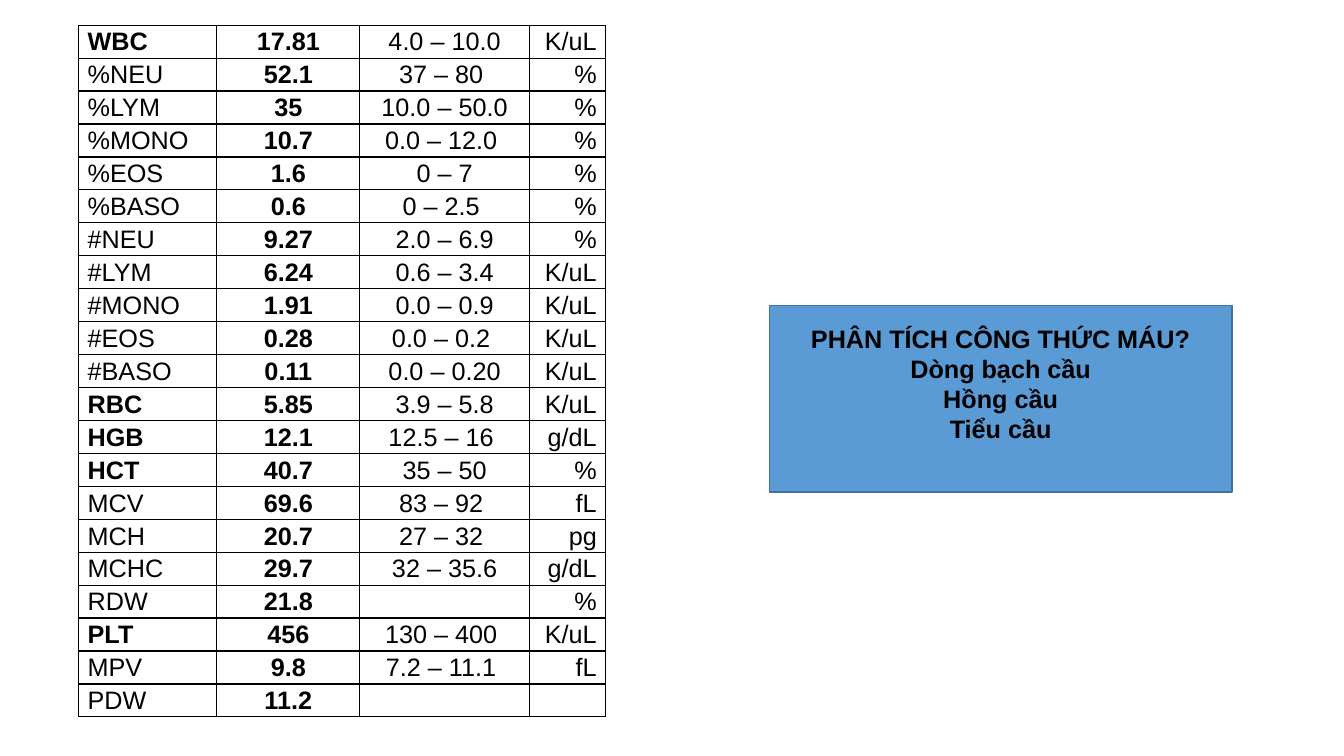
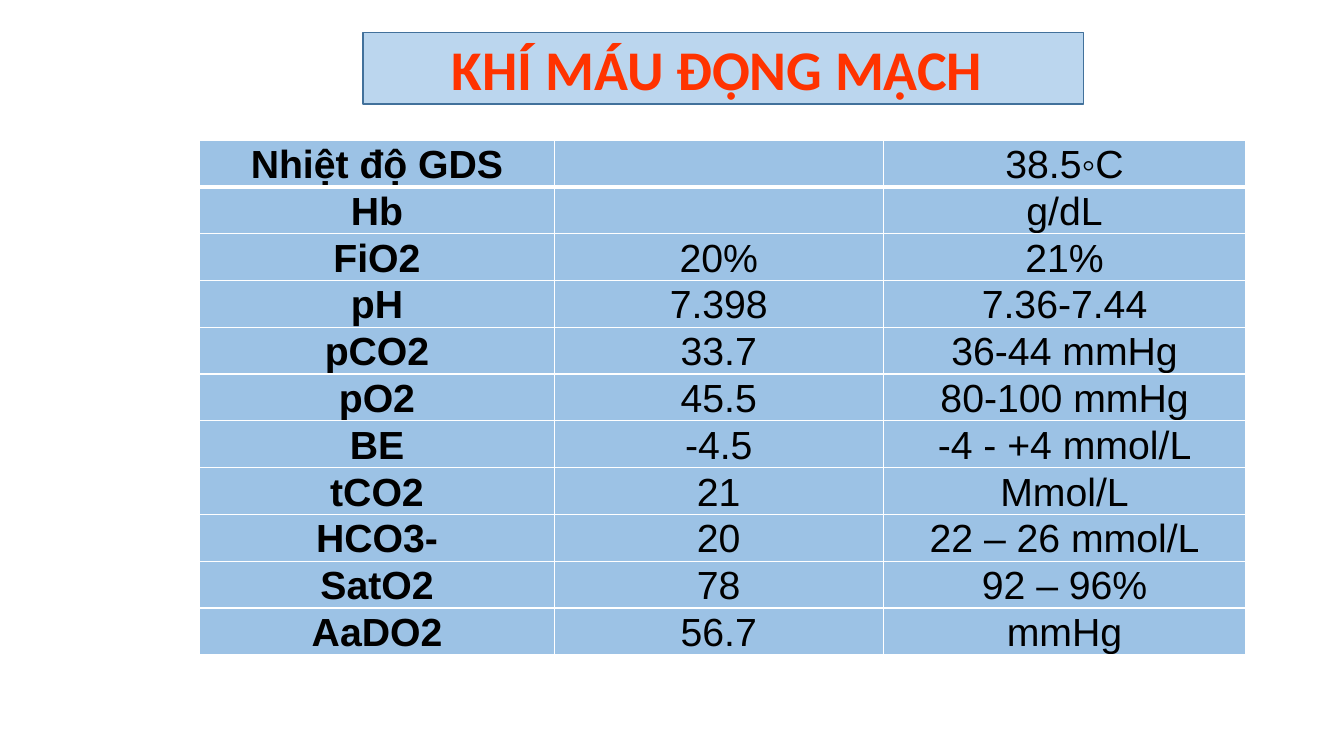
import pptx
import pptx.dml.color
import pptx.enum.shapes
import pptx.enum.text
import pptx.oxml
import pptx.oxml.ns
import pptx.util

Inches, Pt = pptx.util.Inches, pptx.util.Pt
Align, Anchor = pptx.enum.text.PP_ALIGN, pptx.enum.text.MSO_ANCHOR

COLORS = {
    "ink": "000000",
    "white": "FFFFFF",
    "panel": "5B9BD5",
    "outline": "42719B",
    "gas_cell": "9CC2E5",
    "title_band": "BBD6EE",
    "title": "FF3300",
}

# The slide is a grid of 100 columns by 100 rows
SLIDE_W, SLIDE_H = Inches(13.33), Inches(7.5)
COL, ROW = SLIDE_W / 100, SLIDE_H / 100

BLOOD_COUNT = [
    ("WBC", "17.81", "4.0 – 10.0", "K/uL"),
    ("%NEU", "52.1", "37 – 80 ", "%"),
    ("%LYM", "35", "10.0 – 50.0", "%"),
    ("%MONO", "10.7", "0.0 – 12.0 ", "%"),
    ("%EOS", "1.6", "0 – 7", "%"),
    ("%BASO", "0.6", "0 – 2.5 ", "%"),
    ("#NEU", "9.27", "2.0 – 6.9", "%"),
    ("#LYM", "6.24", "0.6 – 3.4", "K/uL"),
    ("#MONO", "1.91", "0.0 – 0.9", "K/uL"),
    ("#EOS", "0.28", "0.0 – 0.2 ", "K/uL"),
    ("#BASO", "0.11", "0.0 – 0.20", "K/uL"),
    ("RBC", "5.85", "3.9 – 5.8", "K/uL"),
    ("HGB", "12.1", "12.5 – 16 ", "g/dL"),
    ("HCT", "40.7", "35 – 50", "%"),
    ("MCV", "69.6", "83 – 92 ", "fL"),
    ("MCH", "20.7", "27 – 32 ", "pg"),
    ("MCHC", "29.7", "32 – 35.6", "g/dL"),
    ("RDW", "21.8", "", "%"),
    ("PLT", "456", "130 – 400 ", "K/uL"),
    ("MPV", "9.8", "7.2 – 11.1 ", "fL"),
    ("PDW", "11.2", "", ""),
]
MAIN_INDICES = {"WBC", "RBC", "HGB", "HCT", "PLT"}

BLOOD_GAS = [
    ("Nhiệt độ GDS", "", "38.5◦C"),
    ("Hb", "", "g/dL"),
    ("FiO2", "20%", "21%"),
    ("pH", "7.398", "7.36-7.44"),
    ("pCO2", "33.7", "36-44 mmHg"),
    ("pO2", "45.5", "80-100 mmHg"),
    ("BE", "-4.5", "-4 - +4 mmol/L"),
    ("tCO2", "21", "Mmol/L"),
    ("HCO3-", "20", "22 – 26 mmol/L"),
    ("SatO2", "78", "92 – 96%"),
    ("AaDO2", "56.7", "mmHg"),
]

QUESTION = "PHÂN TÍCH CÔNG THỨC MÁU?\nDòng bạch cầu\nHồng cầu\nTiểu cầu"


def rgb(name):
    return pptx.dml.color.RGBColor.from_string(COLORS[name])


def grid(left, top, width, height):
    """Turn grid columns and rows into slide lengths."""
    return [round(n) for n in (left * COL, top * ROW, width * COL, height * ROW)]


def write(frame, text, size=18, font="Arial", color="ink", bold=False,
          align=Align.CENTER, spacing=None):
    """Fill a text frame, one paragraph per line of text."""
    for number, line in enumerate(text.split("\n")):
        paragraph = frame.add_paragraph() if number else frame.paragraphs[0]
        paragraph.alignment = align
        if spacing:
            paragraph.line_spacing = spacing
        if line:
            run = paragraph.add_run()
            run.text = line
            run.font.size = Pt(size)
            run.font.name = font
            run.font.bold = bold
            run.font.color.rgb = rgb(color)


def paint(shape, fill):
    """Give a box its fill and the shared thin outline."""
    shape.fill.solid()
    shape.fill.fore_color.rgb = rgb(fill)
    shape.line.color.rgb = rgb("outline")
    shape.line.width = Pt(1)


def set_borders(cell, color, top=1, bottom=1):
    """Draw the four edges of a cell, with widths in points."""
    properties = cell._tc.get_or_add_tcPr()
    widths = {"lnL": 1, "lnR": 1, "lnT": top, "lnB": bottom}
    for index, (edge, width) in enumerate(widths.items()):
        properties.insert(index, pptx.oxml.parse_xml(
            f'<a:{edge} {pptx.oxml.ns.nsdecls("a")} w="{Pt(width)}">'
            f'<a:solidFill><a:srgbClr val="{COLORS[color]}"/></a:solidFill>'
            f'</a:{edge}>'))


def add_results(slide, rows, left, top, height, columns, aligns, is_bold,
                border, fill=None, size=18, side=0.09, above=0.01,
                header_rule=1):
    """Add a table of results; is_bold takes a row label and a column."""
    frame = slide.shapes.add_table(len(rows), len(columns),
                                   *grid(left, top, sum(columns), height))
    table = frame.table
    table.first_row = table.horz_banding = False
    for column, width in zip(table.columns, columns):
        column.width = round(width * COL)
    for r, values in enumerate(rows):
        table.rows[r].height = round(height * ROW / len(rows))
        for c, value in enumerate(values):
            cell = table.cell(r, c)
            cell.margin_left = cell.margin_right = Inches(side)
            cell.margin_top, cell.margin_bottom = Inches(above), 0
            if fill:
                cell.fill.solid()
                cell.fill.fore_color.rgb = rgb(fill)
            else:
                cell.fill.background()
            set_borders(cell, border, top=header_rule if r == 1 else 1,
                        bottom=header_rule if r == 0 else 1)
            write(cell.text_frame, value, size=size, align=aligns[c],
                  bold=is_bold(values[0], c), spacing=1.07)


def add_panel(slide, text, box, fill):
    """Add a filled rectangle whose text sits a little above the middle."""
    panel = slide.shapes.add_shape(
        pptx.enum.shapes.MSO_SHAPE.RECTANGLE, *grid(*box))
    panel.shadow.inherit = False
    paint(panel, fill)
    frame = panel.text_frame
    frame.word_wrap = True
    frame.vertical_anchor = Anchor.MIDDLE
    frame.margin_bottom = Inches(0.35)
    write(frame, text, bold=True)


def set_title(slide, text, box):
    """Place the title placeholder and format it as a band."""
    title = slide.shapes.title
    title.left, title.top, title.width, title.height = grid(*box)
    paint(title, "title_band")
    frame = title.text_frame
    frame.auto_size = pptx.enum.text.MSO_AUTO_SIZE.NONE
    frame.word_wrap = True
    frame.vertical_anchor = Anchor.MIDDLE
    write(frame, text, size=40, font="Calibri", color="title", bold=True)


def main():
    deck = pptx.Presentation()
    deck.slide_width, deck.slide_height = SLIDE_W, SLIDE_H
    title_only, blank = deck.slide_layouts[5], deck.slide_layouts[6]

    # Blood count and the question about it
    count = deck.slides.add_slide(blank)
    add_results(count, BLOOD_COUNT, left=5.85, top=3.33, height=91.6,
                columns=[10.28, 10.65, 12.6, 5.7],
                aligns=[Align.LEFT, Align.CENTER, Align.CENTER, Align.RIGHT],
                is_bold=lambda label, c: c == 1 or (c == 0 and label in MAIN_INDICES),
                border="ink")
    add_panel(count, QUESTION, (57.24, 40.4, 34.43, 24.67), "panel")

    # Arterial blood gas
    gas = deck.slides.add_slide(title_only)
    set_title(gas, "KHÍ MÁU ĐỘNG MẠCH ", (27, 4.27, 53.64, 9.47))
    add_results(gas, BLOOD_GAS, left=14.85, top=18.53, height=68,
                columns=[26.4, 24.46, 27], aligns=[Align.CENTER] * 3,
                is_bold=lambda label, c: c == 0, border="white",
                fill="gas_cell", size=28, side=0.07, above=0, header_rule=3)

    deck.save("out.pptx")


if __name__ == "__main__":
    main()
